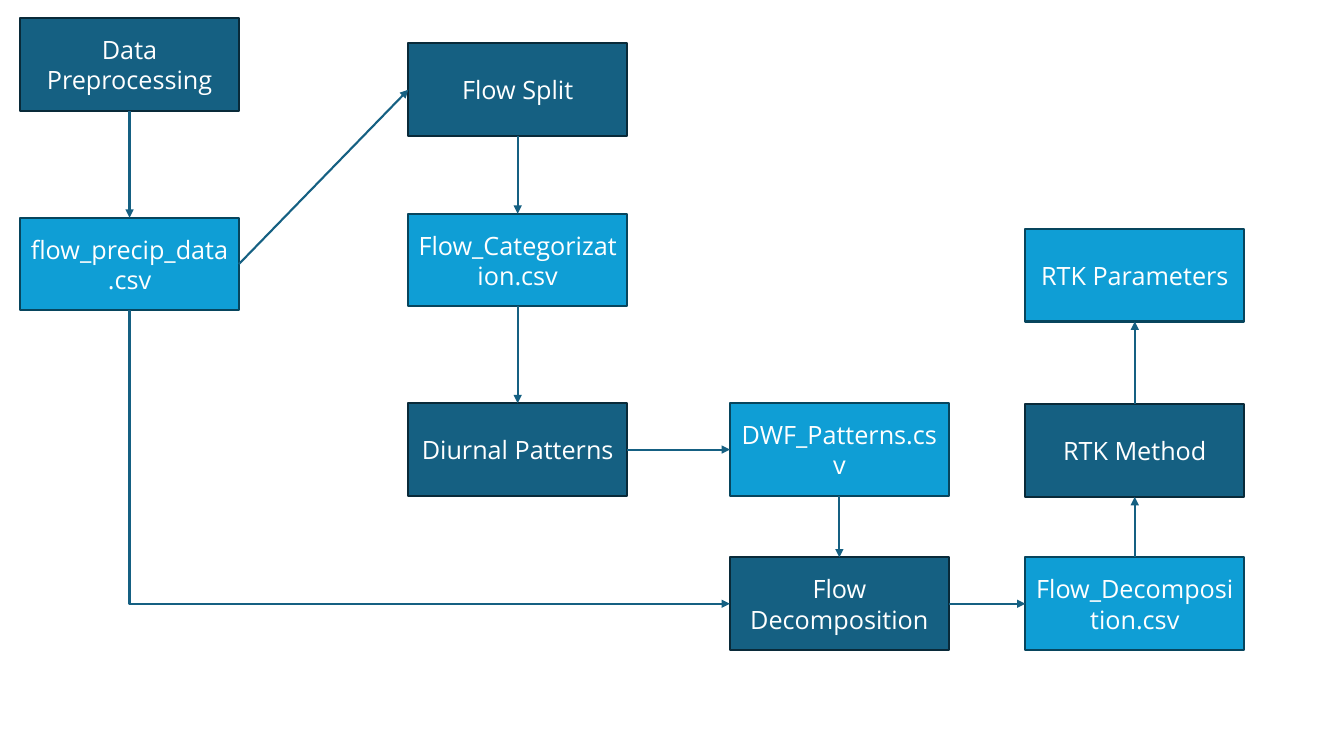
from lxml import etree
from pptx import Presentation
from pptx.dml.color import RGBColor
from pptx.enum.shapes import MSO_CONNECTOR, MSO_SHAPE
from pptx.enum.text import MSO_ANCHOR, PP_ALIGN
from pptx.oxml.ns import qn
from pptx.util import Inches, Pt

RECTANGLE = MSO_SHAPE.RECTANGLE
STRAIGHT, ELBOW = MSO_CONNECTOR.STRAIGHT, MSO_CONNECTOR.ELBOW
MIDDLE, CENTER = MSO_ANCHOR.MIDDLE, PP_ALIGN.CENTER
TOP, LEFT, BOTTOM, RIGHT = range(4)

COLORS = {
    "process": "156082", "process_edge": "092A39",
    "file": "0F9ED5", "file_edge": "07455D",
    "arrow": "156082", "text": "FFFFFF",
}
FONT = "Open Sans"
BOX_WIDTH, BOX_HEIGHT = 2.17, 0.92
LINE_WIDTH = 1.5

# Left edge of each column of the flow chart
INPUT, SPLIT, PATTERN, RTK = 0.2, 4.05, 7.24, 10.17

# Text, kind, left, top
STEPS = [
    ("Data Preprocessing", "process", INPUT, 0.18),
    ("flow_precip_data.csv", "file", INPUT, 2.16),
    ("Flow Split", "process", SPLIT, 0.43),
    ("Flow_Categorization.csv", "file", SPLIT, 2.12),
    ("Diurnal Patterns", "process", SPLIT, 4),
    ("DWF_Patterns.csv", "file", PATTERN, 4),
    ("Flow Decomposition", "process", PATTERN, 5.53),
    ("Flow_Decomposition.csv", "file", RTK, 5.53),
    ("RTK Method", "process", RTK, 4.01),
    ("RTK Parameters", "file", RTK, 2.27),
]

# From, side, to, side
ARROWS = [
    ("Data Preprocessing", BOTTOM, "flow_precip_data.csv", TOP),
    ("flow_precip_data.csv", RIGHT, "Flow Split", LEFT),
    ("Flow Split", BOTTOM, "Flow_Categorization.csv", TOP),
    ("Flow_Categorization.csv", BOTTOM, "Diurnal Patterns", TOP),
    ("Diurnal Patterns", RIGHT, "DWF_Patterns.csv", LEFT),
    ("DWF_Patterns.csv", BOTTOM, "Flow Decomposition", TOP),
    ("Flow Decomposition", RIGHT, "Flow_Decomposition.csv", LEFT),
    ("Flow_Decomposition.csv", TOP, "RTK Method", BOTTOM),
    ("RTK Method", TOP, "RTK Parameters", BOTTOM),
]


def color(name):
    return RGBColor.from_string(COLORS[name])


def write_text(shape, text, size=18, font_color="text", align=CENTER):
    frame = shape.text_frame
    frame.word_wrap = True
    frame.vertical_anchor = MIDDLE
    paragraph = frame.paragraphs[0]
    paragraph.alignment = align
    run = paragraph.add_run()
    run.text = text
    run.font.name = FONT
    run.font.size = Pt(size)
    run.font.color.rgb = color(font_color)


def add_step(slide, text, kind, left, top):
    shape = slide.shapes.add_shape(RECTANGLE, Inches(left), Inches(top),
                                   Inches(BOX_WIDTH), Inches(BOX_HEIGHT))
    shape.shadow.inherit = False
    shape.fill.solid()
    shape.fill.fore_color.rgb = color(kind)
    shape.line.color.rgb = color(kind + "_edge")
    shape.line.width = Pt(LINE_WIDTH)
    write_text(shape, text)
    return shape


def add_arrow(slide, start, start_side, end, end_side, kind=STRAIGHT):
    connector = slide.shapes.add_connector(kind, 0, 0, 0, 0)
    connector.begin_connect(start, start_side)
    connector.end_connect(end, end_side)
    connector.line.color.rgb = color("arrow")
    connector.line.width = Pt(LINE_WIDTH)
    properties = connector._element.spPr
    etree.SubElement(properties.find(qn("a:ln")), qn("a:tailEnd"), type="triangle")
    etree.SubElement(properties, qn("a:effectLst"))
    return connector


def add_corner_arrow(slide, start, end):
    """Go down from the start box, then right into the end box."""
    connector = add_arrow(slide, start, BOTTOM, end, LEFT, kind=ELBOW)
    across, down = connector.width, connector.height
    # A quarter turn about the centre swaps width and height
    connector.left += (across - down) // 2
    connector.top += (down - across) // 2
    connector.width, connector.height = down, across
    properties = connector._element.spPr
    transform = properties.find(qn("a:xfrm"))
    transform.set("rot", str(270 * 60000))
    transform.set("flipH", "1")
    properties.find(qn("a:prstGeom")).set("prst", "bentConnector2")


def add_flow_chart(slide):
    # Process and file boxes
    boxes = {step[0]: add_step(slide, *step) for step in STEPS}
    # Arrows between them
    for start, start_side, end, end_side in ARROWS:
        add_arrow(slide, boxes[start], start_side, boxes[end], end_side)
    add_corner_arrow(slide, boxes["flow_precip_data.csv"], boxes["Flow Decomposition"])


def main():
    presentation = Presentation()
    presentation.slide_width = Inches(13.33)
    presentation.slide_height = Inches(7.5)
    slide = presentation.slides.add_slide(presentation.slide_layouts[6])
    add_flow_chart(slide)
    presentation.save("out.pptx")


if __name__ == "__main__":
    main()
